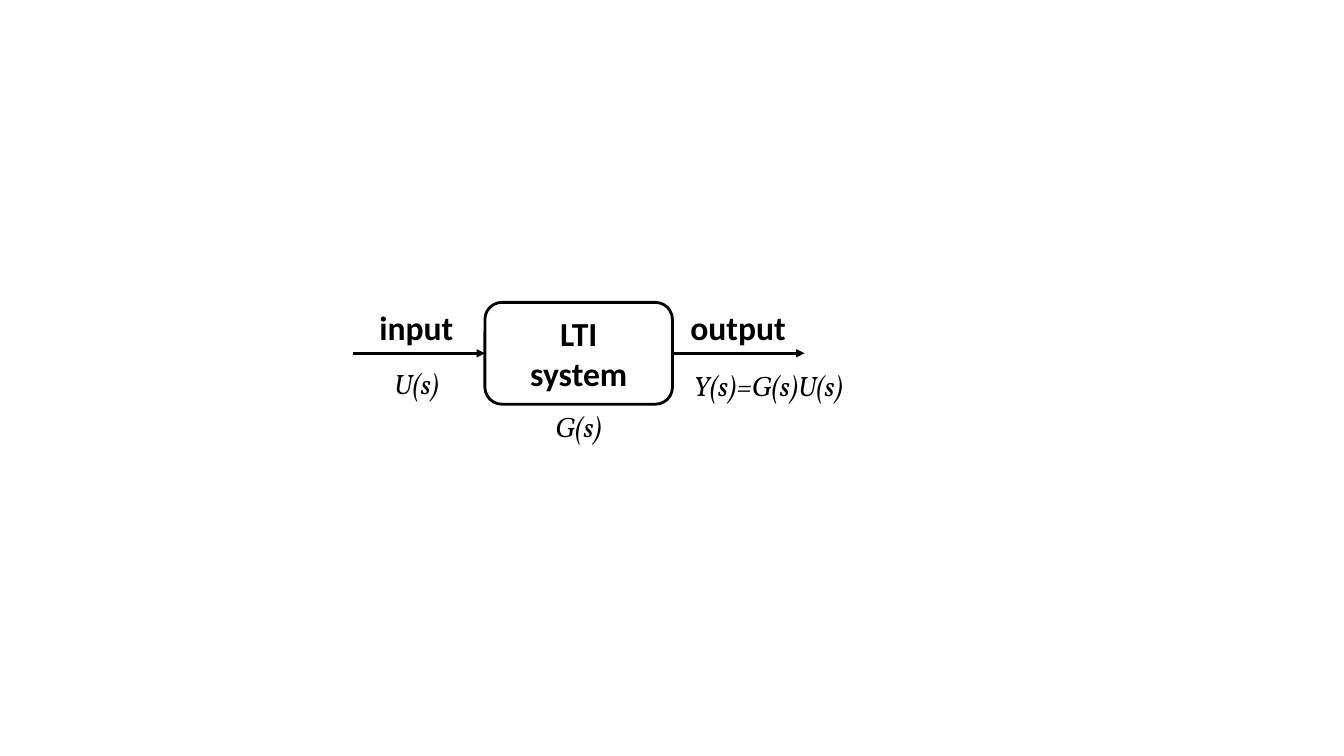
from lxml import etree
from pptx import Presentation
from pptx import util as u
from pptx.dml.color import RGBColor
from pptx.enum import shapes, text
from pptx.oxml import ns

BLACK = "000000"
HEADING = {"name": "Calibri", "size": 24, "bold": True}
FORMULA = {"name": "Vollkorn", "size": 20, "italic": True}


def color(value):
    """Turn a hex string into a colour."""
    return RGBColor.from_string(value)


def style_line(shape):
    """Give a shape or connector the black outline of the diagram."""
    shape.line.color.rgb = color(BLACK)
    shape.line.width = u.Pt(2)


def add_label(group, box, lines, name, size, bold=False, italic=False):
    """Add centred, unwrapped text in a box of left, top, width and height."""
    label = group.shapes.add_textbox(*map(u.Inches, box))
    frame = label.text_frame
    frame.word_wrap = False
    frame.auto_size = text.MSO_AUTO_SIZE.SHAPE_TO_FIT_TEXT
    frame.text = lines
    for paragraph in frame.paragraphs:
        paragraph.alignment = text.PP_ALIGN.CENTER
        font = paragraph.font
        font.name, font.size = name, u.Pt(size)
        font.bold, font.italic = bold, italic
        font.color.rgb = color(BLACK)


def add_arrow(group, left, middle, length):
    """Add a horizontal arrow pointing right."""
    arrow = group.shapes.add_connector(
        shapes.MSO_CONNECTOR.STRAIGHT,
        *map(u.Inches, (left, middle, left + length, middle)))
    style_line(arrow)
    etree.SubElement(arrow.line._get_or_add_ln(), ns.qn("a:tailEnd"), type="triangle")
    etree.SubElement(arrow._element.spPr, ns.qn("a:effectLst"))


def add_system(group, left, top, width, height):
    """Add the rounded system block with its name and transfer function."""
    block = group.shapes.add_shape(
        shapes.MSO_SHAPE.ROUNDED_RECTANGLE, *map(u.Inches, (left, top, width, height)))
    block.shadow.inherit = False
    block.fill.background()
    style_line(block)
    add_label(group, (left, top + 0.05, width, 0.91), "LTI\nsystem", **HEADING)
    add_label(group, (left, top + height, width, 0.44), "G(s)", **FORMULA)


def add_block_diagram(slide, left, top, width, height):
    """Add the input arrow, system block and output arrow in the given box."""
    group = slide.shapes.add_group_shape()
    arrow_length = (width - 1.86) / 2
    block_left = left + arrow_length
    output_left = left + width - arrow_length
    middle = top + height / 2
    add_system(group, block_left, top, 1.86, height)
    for arrow_left in (left, output_left):
        add_arrow(group, arrow_left, middle, arrow_length)
    add_label(group, (left + 0.16, top, 0.94, 0.5), "input", **HEADING)
    add_label(group, (left + 0.27, middle + 0.08, 0.73, 0.44), "U(s)", **FORMULA)
    add_label(group, (output_left + 0.07, top, 1.16, 0.5), "output", **HEADING)
    add_label(group, (output_left, middle + 0.1, 1.9, 0.44), "Y(s)=G(s)U(s)", **FORMULA)


def main():
    """Build and save the presentation."""
    presentation = Presentation()
    presentation.slide_width = u.Inches(13.33)
    presentation.slide_height = u.Inches(7.5)
    slide = presentation.slides.add_slide(presentation.slide_layouts[6])
    add_block_diagram(slide, 3.5, 3, 4.48, 1.01)
    presentation.save("out.pptx")


if __name__ == "__main__":
    main()
